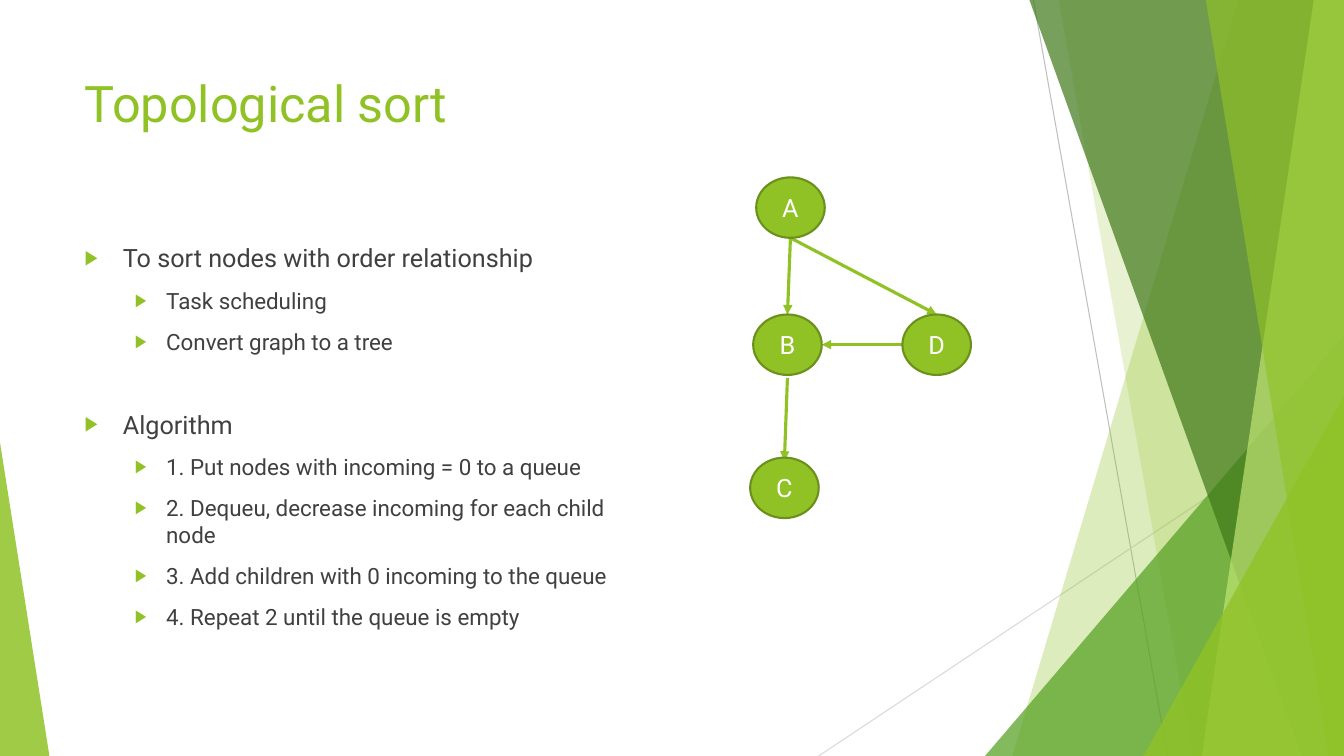
"""Build the topological sort slide with its faceted green frame."""
from lxml import etree
from pptx import Presentation
from pptx.dml.color import RGBColor
from pptx.enum.shapes import MSO_CONNECTOR, MSO_SHAPE
from pptx.enum.text import MSO_ANCHOR, PP_ALIGN
from pptx.oxml.ns import qn
from pptx.util import Inches, Pt

FONT = "Roboto"
WHITE = RGBColor(0xFF, 0xFF, 0xFF)
LIME = RGBColor(0x90, 0xC2, 0x26)
PALE_LIME = RGBColor(0xC0, 0xE4, 0x74)
GREEN = RGBColor(0x54, 0xA0, 0x21)
FOREST = RGBColor(0x3F, 0x78, 0x19)
OLIVE = RGBColor(0x6B, 0x90, 0x1C)
TEXT = RGBColor(0x40, 0x40, 0x40)
GRAY = RGBColor(0xBF, 0xBF, 0xBF)
LIGHT_GRAY = RGBColor(0xD9, 0xD9, 0xD9)

WIDTH, HEIGHT = 13.33, 7.5
TITLE = "Topological sort"
OUTLINE = [
    ("To sort nodes with order relationship", [
        "Task scheduling",
        "Convert graph to a tree",
    ]),
    ("Algorithm", [
        "1. Put nodes with incoming = 0 to a queue",
        "2. Dequeu, decrease incoming for each child node",
        "3. Add children with 0 incoming to the queue",
        "4. Repeat 2 until the queue is empty",
    ]),
]
LEVELS = [(18, 0.38, 0.38), (16, 0.81, 0.31)]
PARAGRAPH_GAP, SECTION_GAP = 10, 38.75

NODE_W, NODE_H = 0.68, 0.6
NODES = {"A": (7.5, 1.76), "B": (7.47, 3.12), "C": (7.44, 4.54), "D": (8.95, 3.12)}
PORTS = {"top": (0.5, 0), "bottom": (0.5, 1), "left": (0, 0.5), "right": (1, 0.5)}
EDGES = [
    ("A", "bottom", "B", "top", 0),
    ("B", "bottom", "C", "top", 0.03),
    ("A", "bottom", "D", "top", 0),
    ("D", "left", "B", "right", 0),
]

HAIRLINES = [
    ((10.25, 0), (11.58, HEIGHT), GRAY),
    ((WIDTH, 4.03), (8.12, HEIGHT), LIGHT_GRAY),
]
BAND, TRIANGLE = "band", "triangle"
FACETS = [
    (BAND, (12.28, 10.04), LIME, 30),
    (BAND, (10.5, 11.83), LIME, 20),
    (TRIANGLE, (9.77, 3.33, 3.56, 1), GREEN, 72),
    (BAND, (10.21, 12.91), FOREST, 70),
    (BAND, (13.03, 11.92), PALE_LIME, 70),
    (BAND, (11.96, 13.18), LIME, 65),
    (TRIANGLE, (11.34, 3.93, 1.99, 1), LIME, 80),
    (TRIANGLE, (0, 4.39, 0.49, 0), LIME, 85),
]


def add_line(slide, start, end, color, width, arrow=False):
    points = [Inches(value) for value in (*start, *end)]
    line = slide.shapes.add_connector(MSO_CONNECTOR.STRAIGHT, *points)
    line.line.color.rgb = color
    line.line.width = Pt(width)
    if arrow:
        outline = line._element.spPr.find(qn("a:ln"))
        etree.SubElement(outline, qn("a:tailEnd"), type="triangle")
    etree.SubElement(line._element.spPr, qn("a:effectLst"))


def add_facet(slide, kind, geometry, color, opacity):
    if kind == BAND:
        top_x, bottom_x = geometry
        builder = slide.shapes.build_freeform(Inches(top_x), 0)
        corners = [(WIDTH, 0), (WIDTH, HEIGHT), (bottom_x, HEIGHT)]
        builder.add_line_segments([(Inches(x), Inches(y)) for x, y in corners])
        facet = builder.convert_to_shape()
    else:
        left, top, width, apex = geometry
        facet = slide.shapes.add_shape(
            MSO_SHAPE.ISOSCELES_TRIANGLE, Inches(left), Inches(top),
            Inches(width), Inches(HEIGHT - top))
        facet.adjustments[0] = apex
    facet.shadow.inherit = False
    facet.line.fill.background()
    facet.fill.solid()
    facet.fill.fore_color.rgb = color
    color_node = facet._element.spPr.find(qn("a:solidFill"))[0]
    etree.SubElement(color_node, qn("a:alpha"), val=str(opacity * 1000))


def add_text_frame(slide, left, top, width, height):
    box = slide.shapes.add_textbox(
        Inches(left), Inches(top), Inches(width), Inches(height))
    box.text_frame.word_wrap = True
    return box.text_frame


def write(paragraph, text, size, color):
    run = paragraph.add_run()
    run.text = text
    run.font.name = FONT
    run.font.size = Pt(size)
    run.font.color.rgb = color


def add_bullet(paragraph, level):
    _, margin, hanging = LEVELS[level]
    properties = paragraph._p.get_or_add_pPr()
    properties.set("marL", str(Inches(margin)))
    properties.set("indent", str(-Inches(hanging)))
    bullet_color = etree.SubElement(properties, qn("a:buClr"))
    etree.SubElement(bullet_color, qn("a:srgbClr"), val=str(LIME))
    etree.SubElement(properties, qn("a:buSzPct"), val="80000")
    etree.SubElement(properties, qn("a:buFont"), typeface=FONT)
    etree.SubElement(properties, qn("a:buChar"), char="\u25b6")


def add_outline(frame):
    rows = []
    for number, (heading, details) in enumerate(OUTLINE):
        rows.append((heading, 0, SECTION_GAP if number else PARAGRAPH_GAP))
        rows += [(detail, 1, PARAGRAPH_GAP) for detail in details]
    for number, (text, level, gap) in enumerate(rows):
        paragraph = frame.add_paragraph() if number else frame.paragraphs[0]
        paragraph.level = level
        paragraph.space_before = Pt(gap)
        add_bullet(paragraph, level)
        write(paragraph, text, LEVELS[level][0], TEXT)


def port(node, side, shift=0):
    left, top = NODES[node]
    across, down = PORTS[side]
    return left + across * NODE_W, top + down * NODE_H + shift


def add_node(slide, name):
    left, top = NODES[name]
    node = slide.shapes.add_shape(
        MSO_SHAPE.OVAL, Inches(left), Inches(top), Inches(NODE_W), Inches(NODE_H))
    node.shadow.inherit = False
    node.fill.solid()
    node.fill.fore_color.rgb = LIME
    node.line.color.rgb = OLIVE
    node.line.width = Pt(1.5)
    node.text_frame.vertical_anchor = MSO_ANCHOR.MIDDLE
    label = node.text_frame.paragraphs[0]
    label.alignment = PP_ALIGN.CENTER
    write(label, name, 18, WHITE)


presentation = Presentation()
presentation.slide_width = Inches(WIDTH)
presentation.slide_height = Inches(HEIGHT)
slide = presentation.slides.add_slide(presentation.slide_layouts[6])

for start, end, color in HAIRLINES:
    add_line(slide, start, end, color, 0.75)
for facet in FACETS:
    add_facet(slide, *facet)

title = add_text_frame(slide, 0.74, 0.67, 9.4, 1.44)
write(title.paragraphs[0], TITLE, 36, LIME)
add_outline(add_text_frame(slide, 0.74, 2.36, 5.59, 4.24))

for source, exit_side, target, entry_side, shift in EDGES:
    add_line(slide, port(source, exit_side, shift), port(target, entry_side, shift),
             LIME, 2.25, arrow=True)
for name in NODES:
    add_node(slide, name)

presentation.save("out.pptx")
